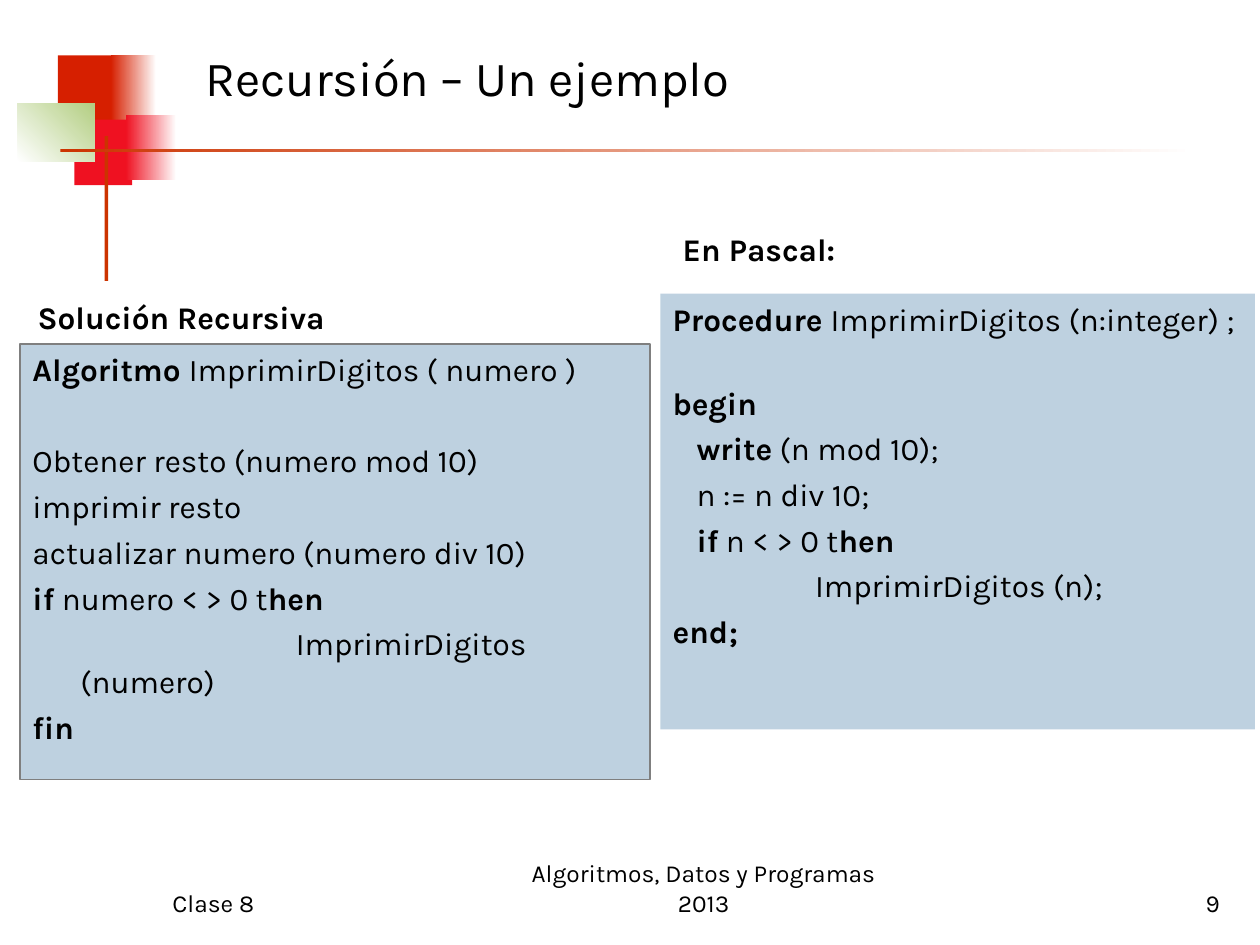
from pptx import Presentation
from pptx.dml.color import RGBColor
from pptx.enum.shapes import MSO_SHAPE
from pptx.enum.text import MSO_ANCHOR, PP_ALIGN
from pptx.util import Inches, Pt

C = {
    "red": "D61F00", "crimson": "EF1121", "green": "B3CE82", "rule": "CC3300",
    "panel": "BED1E0", "border": "7F7F7F", "black": "000000", "white": "FFFFFF",
}


def add_rect(box, color, end=None, angle=0):
    sp = s.shapes.add_shape(MSO_SHAPE.RECTANGLE, *[Inches(v) for v in box])
    sp.shadow.inherit = False
    sp.line.fill.background()
    if end:
        sp.fill.gradient()
        sp.fill.gradient_angle = angle
        for stop, name in zip(sp.fill.gradient_stops, (color, end)):
            stop.color.rgb = RGBColor.from_string(C[name])
    else:
        sp.fill.solid()
        sp.fill.fore_color.rgb = RGBColor.from_string(C[color])
    return sp


def write_line(p, text, size, align=PP_ALIGN.LEFT):
    p.alignment = align
    p.font.size = Pt(size)
    p.font.name = "Karla"
    p.font.color.rgb = RGBColor.from_string(C["black"])
    for i, part in enumerate(text.split("**")):
        if part:
            r = p.add_run()
            r.text = part
            r.font.bold = i % 2 == 1


prs = Presentation()
prs.slide_width, prs.slide_height = Inches(10), Inches(7.5)
s = prs.slides.add_slide(prs.slide_layouts[6])

for box, *colors in [
    ((0.46, 0.44, 0.48, 0.52), "red"),
    ((0.88, 0.44, 0.36, 0.52), "red", "white"),
    ((0.59, 0.95, 0.46, 0.52), "crimson"),
    ((1, 0.91, 0.4, 0.52), "crimson", "white"),
    ((0.14, 0.82, 0.61, 0.46), "white", "green", 45),
    ((0.83, 1.08, 0.03, 1.15), "rule"),
    ((0.48, 1.18, 9, 0.03), "rule", "white"),
]:
    add_rect(box, *colors)

pascal = [
    ("**Procedure **ImprimirDigitos (n:integer) ;", 0, 0),
    ("**begin**", 0, 26.4),
    ("**write** (n mod 10);", 0.19, 4.5),
    ("n := n div 10;", 0.19, 4.5),
    ("**if** n < > 0 t**hen**", 0.19, 4.5),
    ("ImprimirDigitos (n);", 1.13, 4.5),
    ("**end;**", 0, 4.5),
]
algorithm = [
    ("**Algoritmo **ImprimirDigitos ( numero )", 0, 0),
    ("Obtener resto (numero mod 10)", 0, 30.6),
    ("imprimir resto", 0, 4.5),
    ("actualizar numero (numero div 10)", 0, 4.5),
    ("**if** numero < > 0 t**hen**", 0, 4.5),
    ("ImprimirDigitos (numero)", 2.09, 4.5),
    ("**fin**", 0, 4.5),
]
hang = 0.38
for box, lines, border in [
    ((5.24, 2.33, 4.72, 3.46), pascal, None),
    ((0.16, 2.73, 5, 3.46), algorithm, "border"),
]:
    sp = add_rect(box, "panel")
    if border:
        sp.line.color.rgb = RGBColor.from_string(C[border])
        sp.line.width = Pt(0.75)
    tf = sp.text_frame
    tf.word_wrap = True
    tf.vertical_anchor = MSO_ANCHOR.TOP
    for i, (text, start, before) in enumerate(lines):
        p = tf.add_paragraph() if i else tf.paragraphs[0]
        pPr = p._p.get_or_add_pPr()
        pPr.set("marL", str(Inches(hang)))
        pPr.set("indent", str(Inches(start - hang)))
        p.space_before = Pt(before)
        write_line(p, text, 18)

for box, text, size, anchor, align in [
    ((1.53, 0.19, 7.95, 0.84), "Recursión – Un ejemplo", 28, MSO_ANCHOR.MIDDLE, PP_ALIGN.LEFT),
    ((1.27, 6.83, 2.08, 0.5), "Clase 8", 14, MSO_ANCHOR.BOTTOM, PP_ALIGN.LEFT),
    ((7.7, 6.83, 2.08, 0.5), "9", 14, MSO_ANCHOR.BOTTOM, PP_ALIGN.RIGHT),
    ((4, 6.83, 3.17, 0.5), "Algoritmos, Datos y Programas 2013", 14, MSO_ANCHOR.BOTTOM, PP_ALIGN.CENTER),
    ((0.2, 2.32, 4.02, 0.4), "**Solución Recursiva**", 18, MSO_ANCHOR.TOP, PP_ALIGN.LEFT),
    ((5.32, 1.78, 4.02, 0.4), "**En Pascal:**", 18, MSO_ANCHOR.TOP, PP_ALIGN.LEFT),
]:
    tf = s.shapes.add_textbox(*[Inches(v) for v in box]).text_frame
    tf.word_wrap = True
    tf.vertical_anchor = anchor
    write_line(tf.paragraphs[0], text, size, align)

prs.save("out.pptx")
